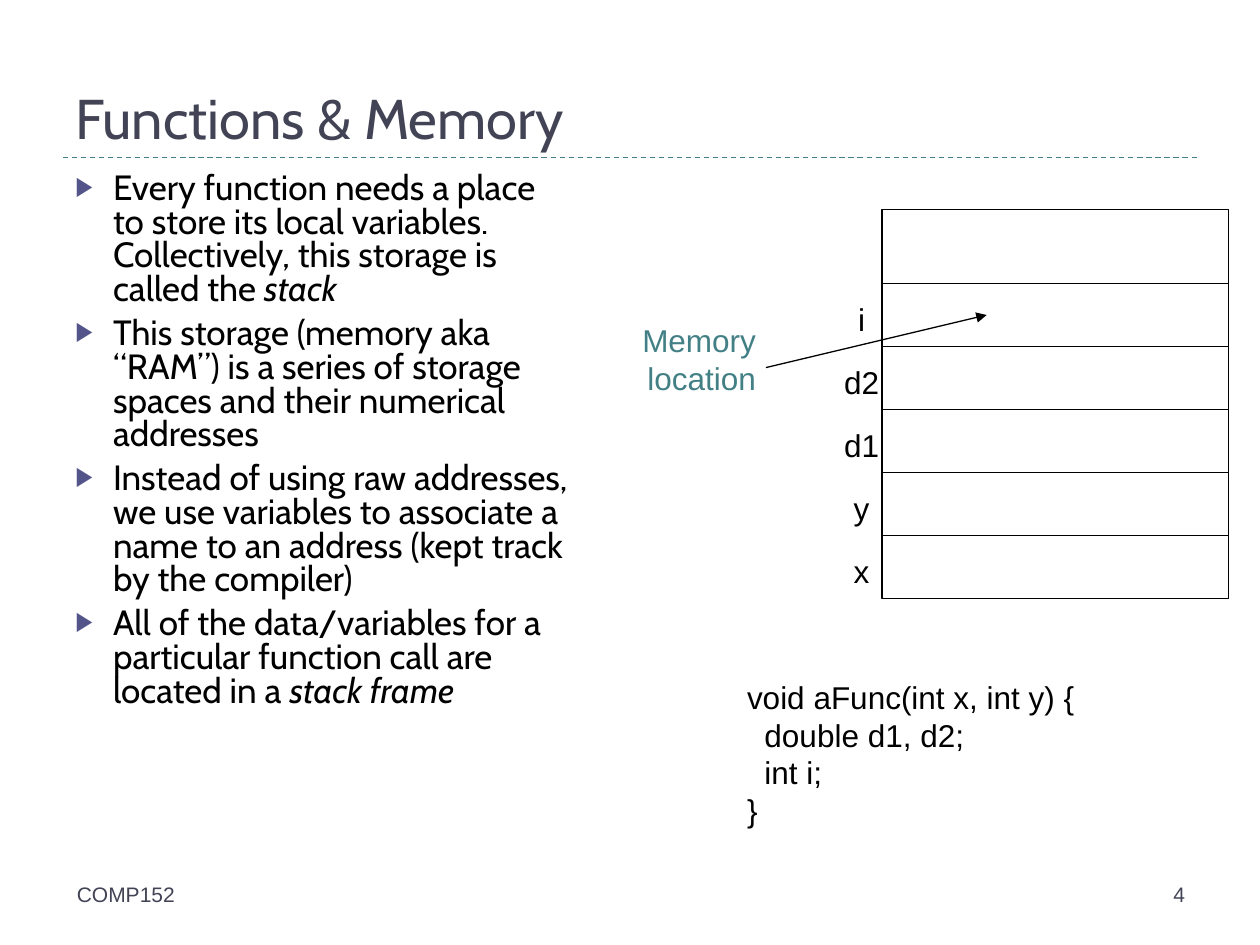
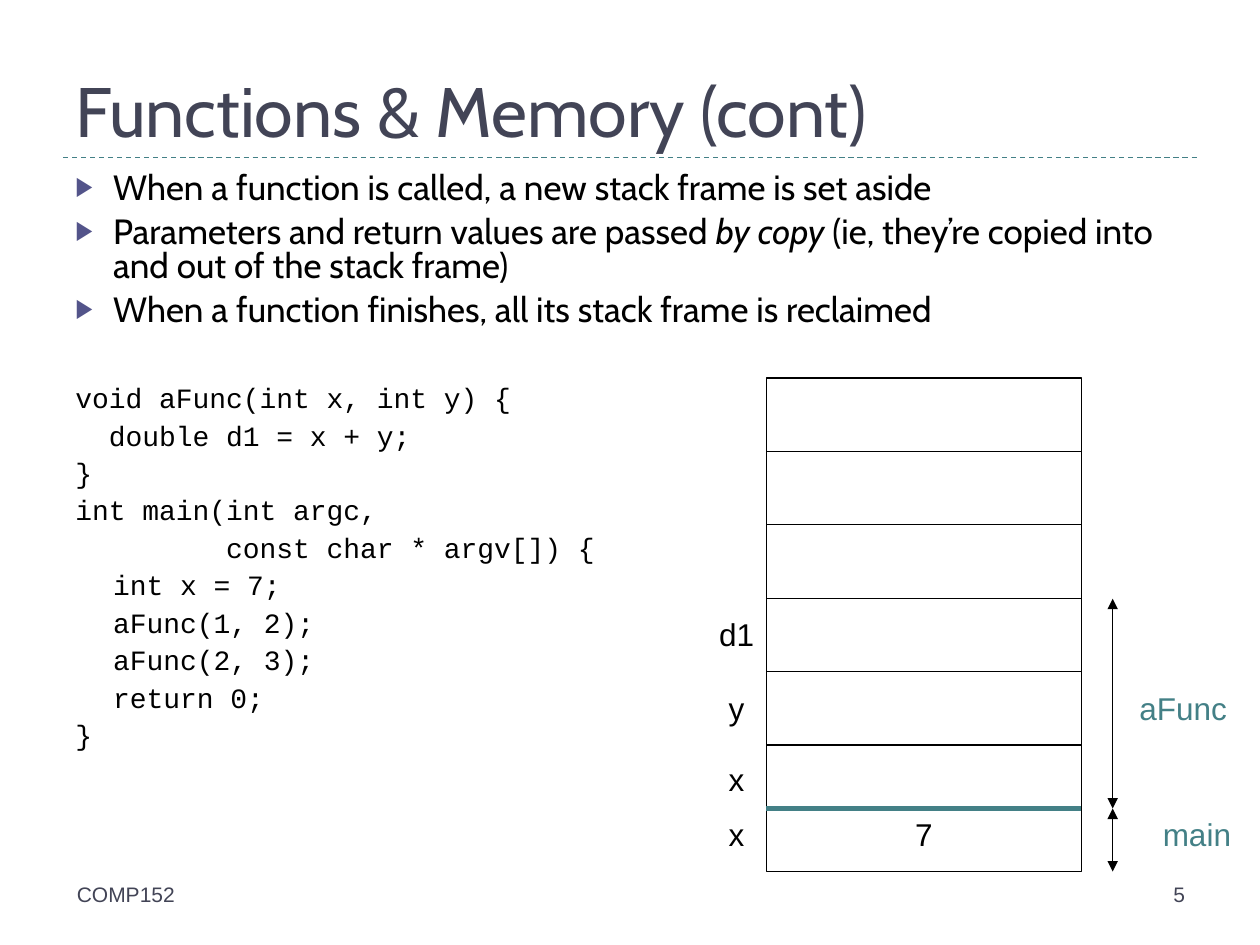
from lxml import etree
from pptx import Presentation
from pptx.dml.color import RGBColor
from pptx.enum.dml import MSO_LINE
from pptx.enum.shapes import MSO_CONNECTOR, MSO_SHAPE
from pptx.enum.text import MSO_ANCHOR, PP_ALIGN
from pptx.oxml.ns import qn
from pptx.util import Cm, Pt

LEFT, CENTER, RIGHT = PP_ALIGN.LEFT, PP_ALIGN.CENTER, PP_ALIGN.RIGHT
TOP, BOTTOM = MSO_ANCHOR.TOP, MSO_ANCHOR.BOTTOM
STRAIGHT, RECTANGLE, DASH = MSO_CONNECTOR.STRAIGHT, MSO_SHAPE.RECTANGLE, MSO_LINE.DASH

COLORS = {"ink": "000000", "title": "424456", "accent": "438086", "bullet": "53548A"}
HEADING_FONT, PLAIN_FONT, CODE_FONT = "Cabin", "Arial", "Courier New"
HANGING = Cm(0.76)
ROW_LABEL_WIDTH = 1.22


def color(name):
    return RGBColor.from_string(COLORS[name])


def add_text(page, lines, left, top, width, height, size=18, font=PLAIN_FONT,
             ink="ink", align=LEFT, anchor=TOP, wrap=True):
    """Each line is a string, or a list of (text, italic) spans."""
    box = page.shapes.add_textbox(Cm(left), Cm(top), Cm(width), Cm(height))
    frame = box.text_frame
    frame.word_wrap = wrap
    frame.vertical_anchor = anchor
    for index, line in enumerate(lines):
        para = frame.add_paragraph() if index else frame.paragraphs[0]
        para.alignment = align
        for text, italic in [(line, False)] if isinstance(line, str) else line:
            span = para.add_run()
            span.text = text
            span.font.size = Pt(size)
            span.font.name = font
            span.font.italic = italic
            span.font.color.rgb = color(ink)
    return box


def set_hanging_indent(para):
    properties = para._p.get_or_add_pPr()
    properties.set("marL", str(HANGING))
    properties.set("indent", str(-HANGING))
    return properties


def add_bullets(page, lines, width, height):
    box = add_text(page, lines, 1.27, 3.38, width, height, 20, HEADING_FONT)
    for index, para in enumerate(box.text_frame.paragraphs):
        properties = set_hanging_indent(para)
        bullet_color = etree.SubElement(properties, qn("a:buClr"))
        etree.SubElement(bullet_color, qn("a:srgbClr"), val=COLORS["bullet"])
        etree.SubElement(properties, qn("a:buSzPct"), val="76000")
        etree.SubElement(properties, qn("a:buFont"), typeface=PLAIN_FONT)
        etree.SubElement(properties, qn("a:buChar"), char="▶")
        para.line_spacing = 0.8
        para.space_before = Pt(6 if index else 0)


def add_line(page, x1, y1, x2, y2, ink="ink", width=0.75, heads=()):
    """heads may hold "headEnd" (at the start) and "tailEnd" (at the end)."""
    line = page.shapes.add_connector(STRAIGHT, Cm(x1), Cm(y1), Cm(x2), Cm(y2))
    line.line.color.rgb = color(ink)
    line.line.width = Pt(width)
    for head in heads:
        etree.SubElement(line.line._get_or_add_ln(), qn(f"a:{head}"), type="triangle")
    etree.SubElement(line._element.spPr, qn("a:effectLst"))
    return line


def add_label(page, text, center, top, width=ROW_LABEL_WIDTH, ink="ink"):
    add_text(page, [text], center - width / 2, top, width, 1.02,
             ink=ink, align=CENTER, wrap=False)


def add_memory(page, left, top, width, height, first_divider, row_height):
    """Draw a block of memory, split by five evenly spaced dividers."""
    block = page.shapes.add_shape(RECTANGLE, Cm(left), Cm(top), Cm(width), Cm(height))
    block.shadow.inherit = False
    block.fill.background()
    block.line.color.rgb = color("ink")
    block.line.width = Pt(0.75)
    for row in range(5):
        y = first_divider + row * row_height
        add_line(page, left, y, left + width, y)


def add_page(deck, title, title_size, number):
    page = deck.slides.add_slide(deck.slide_layouts[6])
    add_line(page, 1.27, 3.18, 24.13, 3.18, "accent").line.dash_style = DASH
    add_text(page, [title], 1.27, 0.43, 22.86, 2.74, title_size, HEADING_FONT,
             "title", anchor=BOTTOM)
    add_text(page, ["COMP152"], 1.3, 17.65, 16.5, 1.02, 12, ink="title")
    add_text(page, [str(number)], 18.64, 17.65, 5.5, 1.02, 12, ink="title", align=RIGHT)
    return page


def build_memory_page(deck):
    page = add_page(deck, "Functions & Memory", 32, 4)
    add_bullets(page, [
        [("Every function needs a place to store its local variables. "
          "Collectively, this storage is called the ", False), ("stack", True)],
        "This storage (memory aka “RAM”) is a series of storage spaces "
        "and their numerical addresses",
        "Instead of using raw addresses, we use variables to associate a name "
        "to an address (kept track by the compiler)",
        [("All of the data/variables for a particular function call are located in a ",
          False), ("stack frame", True)],
    ], 10.46, 13.72)
    add_text(page, ["Memory", "location"], 12.62, 6.35, 2.87, 1.78,
             ink="accent", align=RIGHT)
    add_text(page, ["void aFunc(int x, int y) {", "  double d1, d2;", "  int i;", "}"],
             14.81, 13.54, 9.73, 3.3)
    row_height = 1.27
    add_memory(page, 17.78, 4.23, 6.99, 7.83, 5.72, row_height)
    for row, name in enumerate(["i", "d2", "d1", "y", "x"]):
        add_label(page, name, 17.37, 5.92 + row * row_height)
    add_line(page, 15.44, 7.41, 19.89, 6.35, heads=["tailEnd"])


def build_call_page(deck):
    page = add_page(deck, "Functions & Memory (cont)", 40, 5)
    add_bullets(page, [
        "When a function is called, a new stack frame is set aside",
        [("Parameters and return values are passed ", False), ("by copy", True),
         (" (ie, they’re copied into and out of the stack frame)", False)],
        "When a function finishes, all its stack frame is reclaimed",
    ], 22.86, 3.6)
    code = add_text(page, [
        "void aFunc(int x, int y) {",
        "  double d1 = x + y;",
        "}",
        "int main(int argc,",
        "         const char * argv[]) {",
        "\tint x = 7;",
        "\taFunc(1, 2);",
        "\taFunc(2, 3);",
        "\treturn 0;",
        "}",
    ], 1.27, 7.47, 13, 8, 16, CODE_FONT)
    for para in code.text_frame.paragraphs:
        set_hanging_indent(para)
        para.line_spacing = Pt(21.4)

    left, width, bottom = 15.45, 6.35, 17.57
    frame_top, frame_border = 12.07, 16.3
    add_memory(page, left, 7.62, width, bottom - 7.62, 9.1, 1.48)
    add_line(page, left, frame_border, left + width, frame_border, "accent", 3)
    for name, top in [("d1", 12.27), ("y", 13.77), ("x", 15.19), ("x", frame_border)]:
        add_label(page, name, 14.85, top)
    add_label(page, "7", left + width / 2, frame_border)
    for start, end in [(frame_top, frame_border), (frame_border, bottom)]:
        add_line(page, 22.43, start, 22.43, end, heads=["headEnd", "tailEnd"])
    add_label(page, "aFunc", 23.85, 13.77, 3.1, "accent")
    add_label(page, "main", 24.13, frame_border, 2.54, "accent")


def main():
    deck = Presentation()
    deck.slide_width, deck.slide_height = Cm(25.4), Cm(19.05)
    build_memory_page(deck)
    build_call_page(deck)
    deck.save("out.pptx")


if __name__ == "__main__":
    main()
